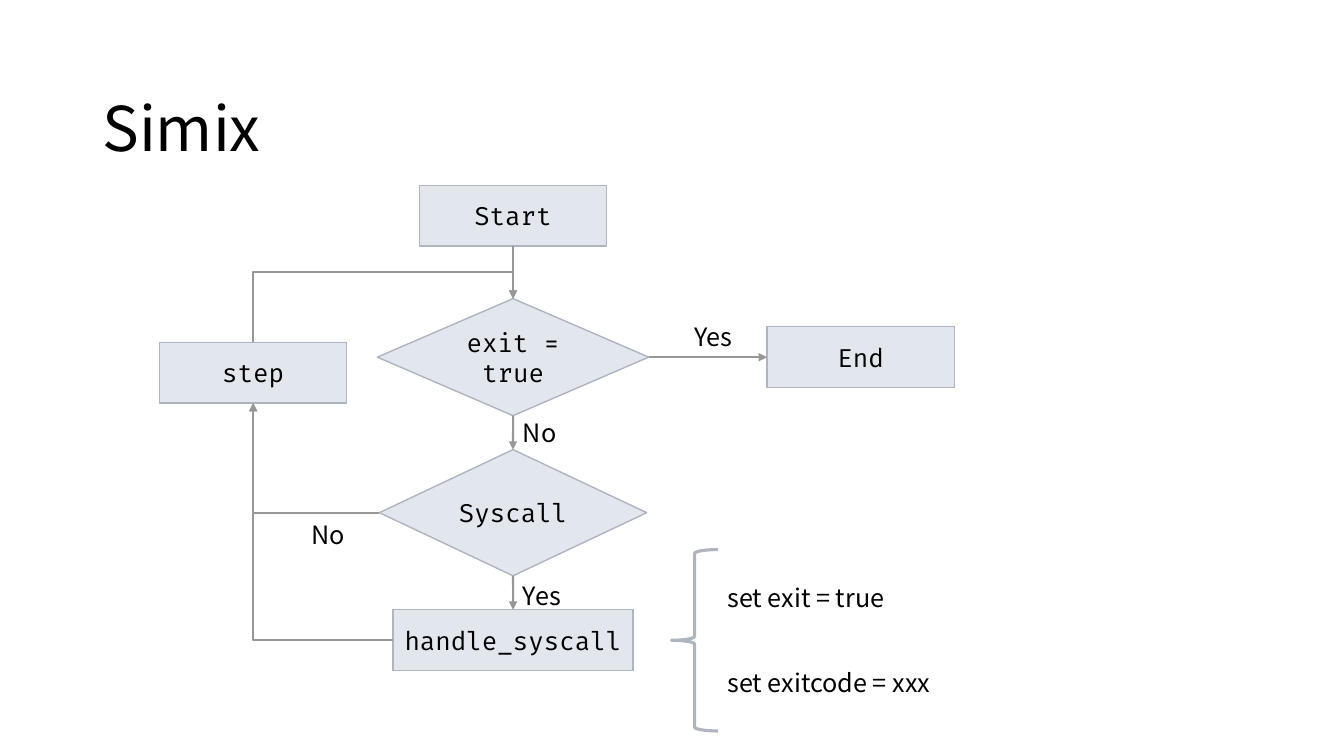
from dataclasses import dataclass

from lxml.etree import SubElement
from pptx import Presentation
from pptx.dml.color import RGBColor
from pptx.enum.shapes import MSO_CONNECTOR, MSO_SHAPE
from pptx.enum.text import MSO_ANCHOR, MSO_AUTO_SIZE, PP_ALIGN
from pptx.oxml.ns import qn
from pptx.shapes.autoshape import Shape
from pptx.shapes.connector import Connector
from pptx.shapes.shapetree import GroupShapes, SlideShapes
from pptx.slide import Slide
from pptx.text.text import TextFrame
from pptx.util import Cm, Pt

TOP, LEFT, BOTTOM, RIGHT = range(4)


@dataclass(frozen=True)
class Theme:
    node_fill: RGBColor = RGBColor(0xE2, 0xE6, 0xED)
    node_line: RGBColor = RGBColor(0xAE, 0xB5, 0xC0)
    arrow: RGBColor = RGBColor(0x97, 0x97, 0x97)
    ink: RGBColor = RGBColor(0, 0, 0)
    text_font: str = "Noto Sans CJK SC"
    code_font: str = "Fira Code"
    title_size: Pt = Pt(44)
    body_size: Pt = Pt(18)
    node_width: Pt = Pt(1)
    arrow_width: Pt = Pt(1.5)
    brace_width: Pt = Pt(2.25)


THEME = Theme()


@dataclass(frozen=True)
class Node:
    """A flowchart step, placed by its centre, in centimetres."""
    text: str
    x: float
    y: float
    width: float = 4.72
    height: float = 1.53
    kind: MSO_SHAPE = MSO_SHAPE.RECTANGLE


@dataclass(frozen=True)
class Label:
    text: str
    left: float
    top: float
    width: float
    height: float = 1.02


@dataclass(frozen=True)
class Arrow:
    begin: str
    begin_side: int
    end: str
    end_side: int


MAIN_X, STEP_X = 12.93, 6.38
EXIT_Y = 9

NODES = {
    "start": Node("Start", MAIN_X, 5.44),
    "end": Node("End", 21.69, EXIT_Y),
    "step": Node("step", STEP_X, 9.39),
    "exit": Node("exit = true", MAIN_X, EXIT_Y, 6.84, 2.95, MSO_SHAPE.DIAMOND),
    "handle": Node("handle_syscall", MAIN_X, 16.13, 6.05),
    "syscall": Node("Syscall", MAIN_X, 12.92, 6.74, 3.18, MSO_SHAPE.DIAMOND),
}

ARROWS = [
    Arrow("start", BOTTOM, "exit", TOP),
    Arrow("exit", BOTTOM, "syscall", TOP),
    Arrow("syscall", BOTTOM, "handle", TOP),
    Arrow("exit", RIGHT, "end", LEFT),
]

BRANCH_LABELS = [
    Label("Yes", 17.26, 7.98, 1.63),
    Label("No", MAIN_X, 10.4, 1.37),
    Label("No", 7.6, 12.97, 1.37),
    Label("Yes", MAIN_X, 14.51, 1.63),
]

SYSCALL_NOTES = [
    Label("set exit = true", 18.08, 14.56, 4.67),
    Label("set exitcode = xxx", 18.08, 16.7, 5.97),
]


def write(frame: TextFrame, text: str, font: str, size: Pt) -> None:
    run = frame.paragraphs[0].add_run()
    run.text = text
    run.font.name = font
    run.font.size = size
    run.font.color.rgb = THEME.ink


def add_title(slide: Slide, text: str) -> None:
    box = slide.shapes.add_textbox(Cm(2.33), Cm(1.48), Cm(29.21), Cm(3.68))
    frame = box.text_frame
    frame.word_wrap = True
    frame.vertical_anchor = MSO_ANCHOR.MIDDLE
    frame.paragraphs[0].line_spacing = 0.9
    write(frame, text, THEME.text_font, THEME.title_size)


def add_node(slide: Slide, node: Node) -> Shape:
    shape = slide.shapes.add_shape(
        node.kind, Cm(node.x - node.width / 2), Cm(node.y - node.height / 2),
        Cm(node.width), Cm(node.height))
    shape.shadow.inherit = False
    shape.fill.solid()
    shape.fill.fore_color.rgb = THEME.node_fill
    shape.line.color.rgb = THEME.node_line
    shape.line.width = THEME.node_width
    frame = shape.text_frame
    frame.word_wrap = True
    frame.vertical_anchor = MSO_ANCHOR.MIDDLE
    frame.paragraphs[0].alignment = PP_ALIGN.CENTER
    write(frame, node.text, THEME.code_font, THEME.body_size)
    return shape


def add_label(shapes: SlideShapes | GroupShapes, label: Label) -> None:
    box = shapes.add_textbox(
        Cm(label.left), Cm(label.top), Cm(label.width), Cm(label.height))
    frame = box.text_frame
    frame.word_wrap = False
    frame.auto_size = MSO_AUTO_SIZE.SHAPE_TO_FIT_TEXT
    write(frame, label.text, THEME.text_font, THEME.body_size)


def style_arrow(connector: Connector) -> None:
    connector.line.color.rgb = THEME.arrow
    connector.line.width = THEME.arrow_width
    properties = connector._element.spPr
    SubElement(properties.find(qn("a:ln")), qn("a:tailEnd"), type="triangle")
    SubElement(properties, qn("a:effectLst"))


def add_arrow(slide: Slide, arrow: Arrow, shapes: dict[str, Shape]) -> None:
    connector = slide.shapes.add_connector(MSO_CONNECTOR.STRAIGHT, 0, 0, 0, 0)
    connector.begin_connect(shapes[arrow.begin], arrow.begin_side)
    connector.end_connect(shapes[arrow.end], arrow.end_side)
    style_arrow(connector)


def add_elbow(slide: Slide, begin: tuple[float, float], end: tuple[float, float],
              preset: str, rotation: int, bend: float | None = None) -> None:
    """Draw a bent arrow; bend is the turning point as a share of the first axis."""
    (x1, y1), (x2, y2) = begin, end
    width, height = abs(x2 - x1), abs(y2 - y1)
    if rotation % 180:
        width, height = height, width
    left, top = (x1 + x2 - width) / 2, (y1 + y2 - height) / 2
    connector = slide.shapes.add_connector(
        MSO_CONNECTOR.ELBOW, Cm(left), Cm(top), Cm(left + width), Cm(top + height))
    properties = connector._element.spPr
    properties.find(qn("a:xfrm")).set("rot", str(rotation * 60000))
    geometry = properties.find(qn("a:prstGeom"))
    geometry.set("prst", preset)
    if bend is not None:
        SubElement(geometry.find(qn("a:avLst")), qn("a:gd"),
                   name="adj1", fmla=f"val {round(bend * 100000)}")
    style_arrow(connector)


def add_syscall_notes(slide: Slide) -> None:
    group = slide.shapes.add_group_shape()
    brace = group.shapes.add_shape(
        MSO_SHAPE.LEFT_BRACE, Cm(16.92), Cm(13.85), Cm(1.17), Cm(4.57))
    brace.shadow.inherit = False
    brace.fill.background()
    brace.line.color.rgb = THEME.node_line
    brace.line.width = THEME.brace_width
    for note in SYSCALL_NOTES:
        add_label(group.shapes, note)


def main() -> None:
    presentation = Presentation()
    presentation.slide_width, presentation.slide_height = Cm(33.87), Cm(19.05)
    slide = presentation.slides.add_slide(presentation.slide_layouts[6])

    add_title(slide, "Simix")
    shapes = {name: add_node(slide, node) for name, node in NODES.items()}
    for arrow in ARROWS:
        add_arrow(slide, arrow, shapes)

    step, exit_test = NODES["step"], NODES["exit"]
    for name in ("syscall", "handle"):
        node = NODES[name]
        add_elbow(slide, (node.x - node.width / 2, node.y),
                  (STEP_X, step.y + step.height / 2), "bentConnector2", 180)
    add_elbow(slide, (STEP_X, step.y - step.height / 2),
              (MAIN_X, exit_test.y - exit_test.height / 2),
              "bentConnector3", 270, bend=1.6)

    add_syscall_notes(slide)
    for label in BRANCH_LABELS:
        add_label(slide.shapes, label)
    presentation.save("out.pptx")


if __name__ == "__main__":
    main()
